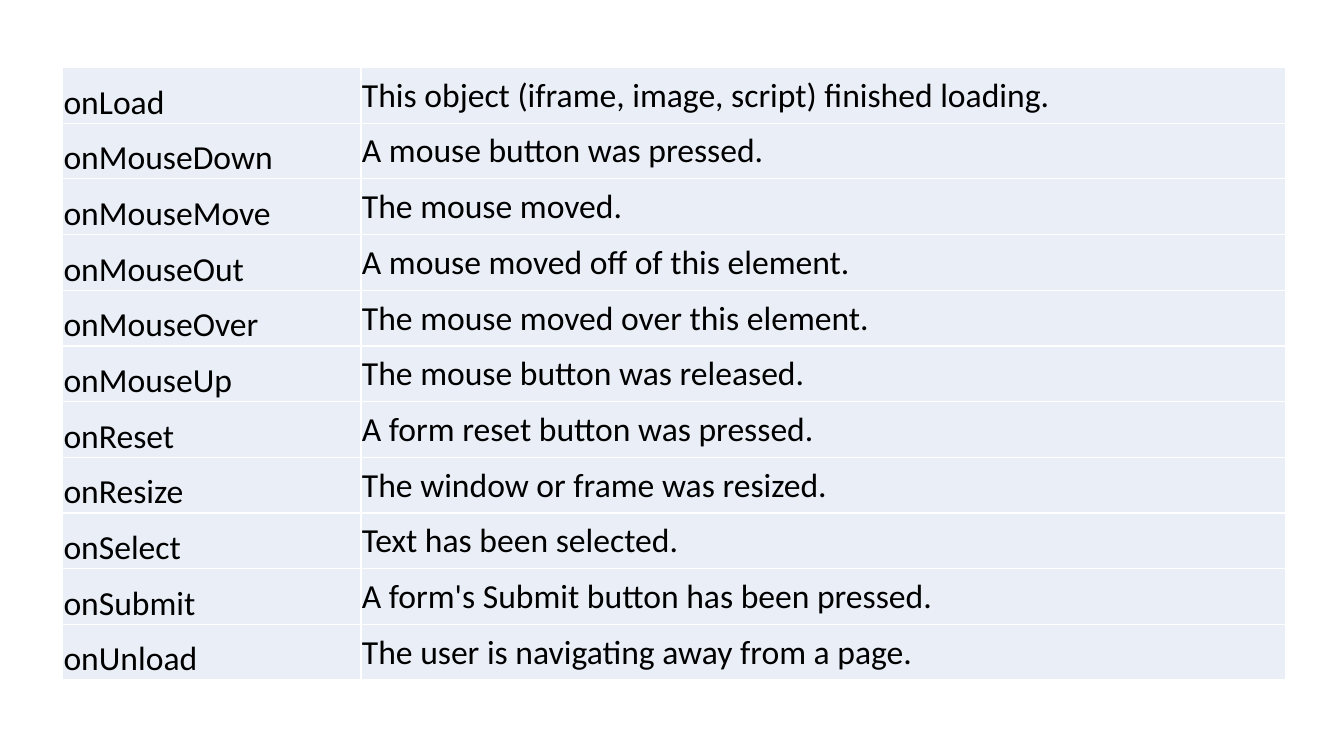
"""Build a slide with a table of browser events."""
from typing import NamedTuple

from lxml import etree
from pptx import Presentation
from pptx.dml.color import RGBColor
from pptx.enum.text import MSO_ANCHOR
from pptx.oxml.ns import qn
from pptx.table import _Cell
from pptx.util import Inches, Pt

LOW, MID = MSO_ANCHOR.BOTTOM, MSO_ANCHOR.MIDDLE
HEX = {"text": "000000", "fill": "EAEFF7", "rule": "FFFFFF"}
LEFT, TOP, WIDTH, HEIGHT = Inches(0.62), Inches(0.67), Inches(12.13), Inches(6.08)
COLS = Inches(2.96), Inches(9.17)
INSET = Inches(0.01)


class Event(NamedTuple):
    """An event handler and when it fires."""

    name: str
    cause: str


EVENTS = [
    Event("onLoad", "This object (iframe, image, script) finished loading."),
    Event("onMouseDown", "A mouse button was pressed."),
    Event("onMouseMove", "The mouse moved."),
    Event("onMouseOut", "A mouse moved off of this element."),
    Event("onMouseOver", "The mouse moved over this element."),
    Event("onMouseUp", "The mouse button was released."),
    Event("onReset", "A form reset button was pressed."),
    Event("onResize", "The window or frame was resized."),
    Event("onSelect", "Text has been selected."),
    Event("onSubmit", "A form's Submit button has been pressed."),
    Event("onUnload", "The user is navigating away from a page."),
]


def write(cell: _Cell, text: str, *, anchor: MSO_ANCHOR, size: float = 24,
          font: str = "Calibri", color: str = "text") -> None:
    """Put formatted text in a cell."""
    cell.vertical_anchor = anchor
    cell.margin_left = cell.margin_right = cell.margin_top = INSET
    cell.margin_bottom = 0
    run = cell.text_frame.paragraphs[0].add_run()
    run.text = text
    run.font.size = Pt(size)
    run.font.name = font
    run.font.color.rgb = RGBColor.from_string(HEX[color])


def paint(cell: _Cell) -> None:
    """Give a cell its borders and fill."""
    props = cell._tc.get_or_add_tcPr()
    for side in ("a:lnL", "a:lnR", "a:lnT", "a:lnB"):
        line = etree.SubElement(props, qn(side), w=str(Pt(1)))
        solid = etree.SubElement(line, qn("a:solidFill"))
        etree.SubElement(solid, qn("a:srgbClr"), val=HEX["rule"])
    cell.fill.solid()
    cell.fill.fore_color.rgb = RGBColor.from_string(HEX["fill"])


def build() -> None:
    """Make and save the slide."""
    deck = Presentation()
    deck.slide_width, deck.slide_height = Inches(13.33), Inches(7.5)
    slide = deck.slides.add_slide(deck.slide_layouts[6])
    frame = slide.shapes.add_table(len(EVENTS), len(COLS), LEFT, TOP, WIDTH, HEIGHT)
    table = frame.table
    table.first_row = table.horz_banding = False
    for col, width in zip(table.columns, COLS):
        col.width = width
    for row, event in zip(table.rows, EVENTS):
        for cell, text, anchor in zip(row.cells, event, (LOW, MID)):
            write(cell, text, anchor=anchor)
            paint(cell)
    deck.save("out.pptx")


build()
